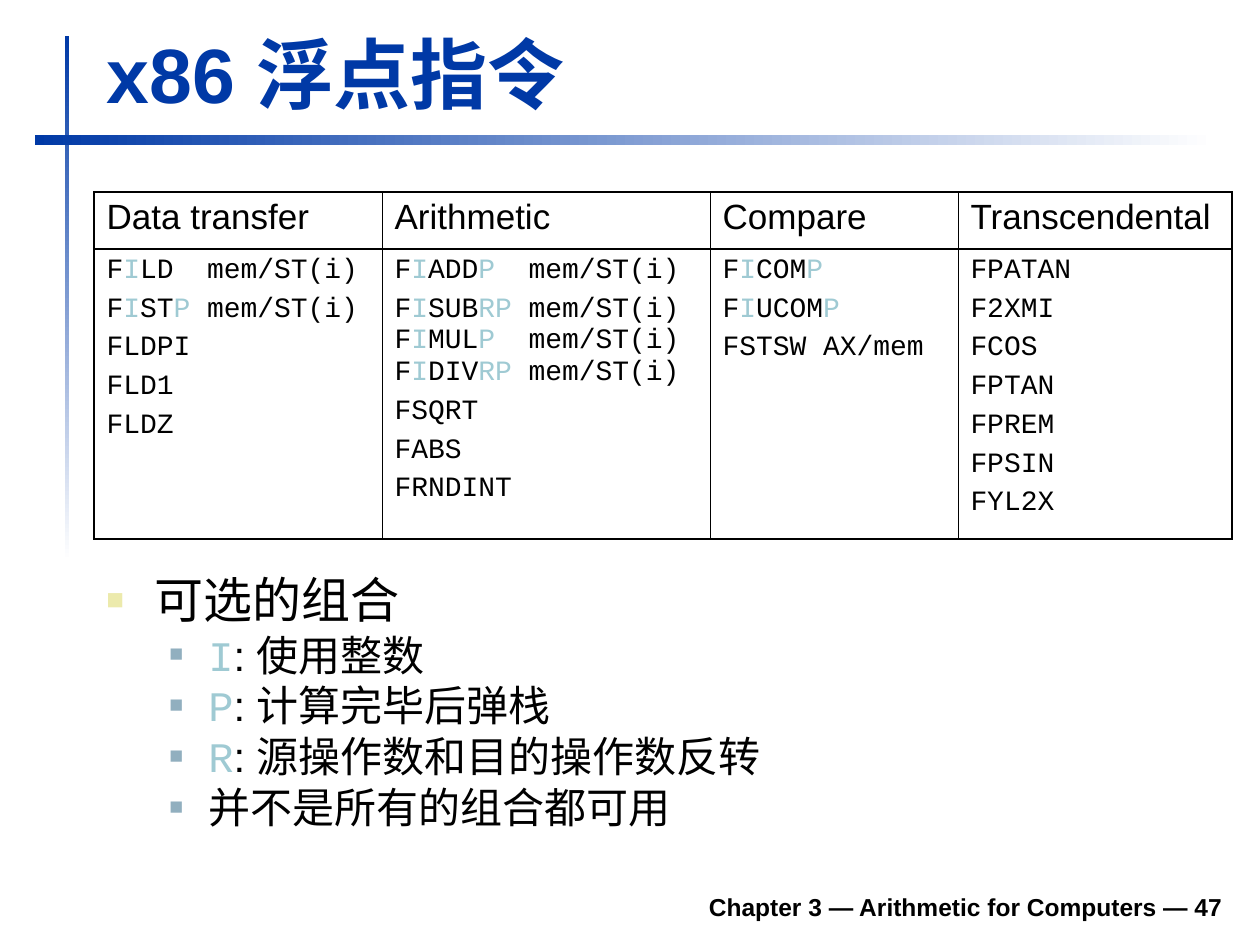
import pptx
import pptx.util
import pptx.dml.color
import pptx.enum.shapes
import pptx.enum.text
import pptx.oxml
import pptx.oxml.ns

PX = 914400 / 126  # EMU in one px
COLORS = {"blue": "0039A6", "white": "FFFFFF", "black": "000000",
          "accent": "9FCAD3", "bullet": "ECEAAC", "sub_bullet": "91AFBF"}
SANS, MONO = "Arial", "Courier New"

# Text between bars is accented.
INSTRUCTIONS = [
    ("Data transfer", 288,
     ["F|I|LD  mem/ST(i)", "F|I|ST|P| mem/ST(i)", "FLDPI", "FLD1", "FLDZ"]),
    ("Arithmetic", 328,
     ["F|I|ADD|P|  mem/ST(i)",
      "F|I|SUB|RP| mem/ST(i) F|I|MUL|P|  mem/ST(i) F|I|DIV|RP| mem/ST(i)",
      "FSQRT", "FABS", "FRNDINT"]),
    ("Compare", 248, ["F|I|COM|P|", "F|I|UCOM|P|", "FSTSW AX/mem"]),
    ("Transcendental", 274,
     ["FPATAN", "F2XMI", "FCOS", "FPTAN", "FPREM", "FPSIN", "FYL2X"]),
]
OPTIONS = ["|I|: 使用整数", "|P|: 计算完毕后弹栈", "|R|: 源操作数和目的操作数反转",
           "并不是所有的组合都可用"]


def emu(*lengths):
    return [pptx.util.Emu(round(length * PX)) for length in lengths]


def rgb(name):
    return pptx.dml.color.RGBColor.from_string(COLORS[name])


def style(font, size, color="black", name=SANS, bold=False):
    font.size, font.name, font.bold = pptx.util.Pt(size), name, bold
    font.color.rgb = rgb(color)


def write_marked(paragraph, marked, size, name=SANS, accent_name=MONO):
    """Write text whose parts between bars are in the accent colour."""
    for index, part in enumerate(marked.split("|")):
        if part:
            run = paragraph.add_run()
            run.text = part
            accented = index % 2 == 1
            style(run.font, size, "accent" if accented else "black",
                  accent_name if accented else name)


def next_paragraph(text_frame, index, space_before):
    """Return the first paragraph, or a new one with space before it."""
    if index == 0:
        return text_frame.paragraphs[0]
    paragraph = text_frame.add_paragraph()
    paragraph.space_before = pptx.util.Pt(space_before)
    return paragraph


def add_gradient_bar(slide, box, angle):
    bar = slide.shapes.add_shape(
        pptx.enum.shapes.MSO_SHAPE.RECTANGLE, *emu(*box))
    bar.shadow.inherit = False
    bar.line.fill.background()
    bar.fill.gradient()
    bar.fill.gradient_angle = angle
    for stop, position, color in zip(bar.fill.gradient_stops, (0, 1), ("blue", "white")):
        stop.position = position
        stop.color.rgb = rgb(color)


def place_title(slide, box):
    title = slide.shapes.title
    title.left, title.top, title.width, title.height = emu(*box)
    text_frame = title.text_frame
    text_frame.text = "x86 浮点指令"
    text_frame.vertical_anchor = pptx.enum.text.MSO_ANCHOR.BOTTOM
    text_frame.auto_size = pptx.enum.text.MSO_AUTO_SIZE.SHAPE_TO_FIT_TEXT
    paragraph = text_frame.paragraphs[0]
    paragraph.alignment = pptx.enum.text.PP_ALIGN.LEFT
    style(paragraph.runs[0].font, 44, "blue", bold=True)


def add_text_box(slide, box):
    text_frame = slide.shapes.add_textbox(*emu(*box)).text_frame
    text_frame.word_wrap = True
    return text_frame


def add_footer(slide, box):
    text_frame = add_text_box(slide, box)
    text_frame.text = "Chapter 3 — Arithmetic for Computers — 47"
    text_frame.vertical_anchor = pptx.enum.text.MSO_ANCHOR.BOTTOM
    paragraph = text_frame.paragraphs[0]
    paragraph.alignment = pptx.enum.text.PP_ALIGN.RIGHT
    style(paragraph.runs[0].font, 14, bold=True)


def set_borders(cell, widths):
    """Draw black borders of the given point widths: left, right, top, bottom."""
    properties = cell._tc.get_or_add_tcPr()
    for index, (side, width) in enumerate(zip("LRTB", widths)):
        properties.insert(index, pptx.oxml.parse_xml(
            f'<a:ln{side} {pptx.oxml.ns.nsdecls("a")} w="{pptx.util.Pt(width)}">'
            f'<a:solidFill><a:srgbClr val="{COLORS["black"]}"/></a:solidFill>'
            f'</a:ln{side}>'))


def add_instruction_table(slide, left, top, row_heights):
    widths = [width for _, width, _ in INSTRUCTIONS]
    last = len(widths) - 1
    table = slide.shapes.add_table(
        2, len(widths), *emu(left, top, sum(widths), sum(row_heights))).table
    table.first_row = table.horz_banding = False
    for row, height in zip(table.rows, emu(*row_heights)):
        row.height = height
    outer, column_line, row_line = 1.08, 0.45, 0.75
    for column, (heading, width, names) in enumerate(INSTRUCTIONS):
        table.columns[column].width = emu(width)[0]
        for row, (lines, size, font) in enumerate([([heading], 20, SANS), (names, 16, MONO)]):
            cell = table.cell(row, column)
            cell.fill.background()
            set_borders(cell, (outer if column == 0 else column_line,
                               outer if column == last else column_line,
                               outer if row == 0 else row_line,
                               outer if row == 1 else row_line))
            for index, line in enumerate(lines):
                paragraph = next_paragraph(cell.text_frame, index, 4)
                write_marked(paragraph, line, size, font)


def set_bullet(paragraph, color, percent, margin, indent):
    properties = paragraph._p.get_or_add_pPr()
    margin, indent = emu(margin, indent)
    properties.set("marL", str(margin))
    properties.set("indent", str(-indent))
    namespace = pptx.oxml.ns.nsdecls("a")
    for element in (
            f'<a:buClr {namespace}><a:srgbClr val="{COLORS[color]}"/></a:buClr>',
            f'<a:buSzPct {namespace} val="{percent * 1000}"/>',
            f'<a:buFont {namespace} typeface="{SANS}"/>',
            f'<a:buChar {namespace} char="■"/>'):
        properties.append(pptx.oxml.parse_xml(element))


def add_option_list(slide, box):
    text_frame = add_text_box(slide, box)
    for index, line in enumerate(["可选的组合"] + OPTIONS):
        paragraph = next_paragraph(text_frame, index, 6)
        paragraph.line_spacing = 0.8
        if index == 0:
            set_bullet(paragraph, "bullet", 60, 48, 48)
        else:
            paragraph.level = 1
            set_bullet(paragraph, "sub_bullet", 55, 102, 39)
        write_marked(paragraph, line, 28 if index == 0 else 24)


def main():
    presentation = pptx.Presentation()
    presentation.slide_width, presentation.slide_height = emu(1260, 945)
    slide = presentation.slides.add_slide(presentation.slide_layouts[5])
    add_gradient_bar(slide, (65, 36, 4, 525), 270)
    add_gradient_bar(slide, (35, 135, 1180, 10), 0)
    add_footer(slide, (233, 879, 1002, 49))
    place_title(slide, (94, 20, 1138, 105))
    add_option_list(slide, (94, 575, 1139, 285))
    add_instruction_table(slide, 94, 192, (57, 290))
    presentation.save("out.pptx")


if __name__ == "__main__":
    main()
